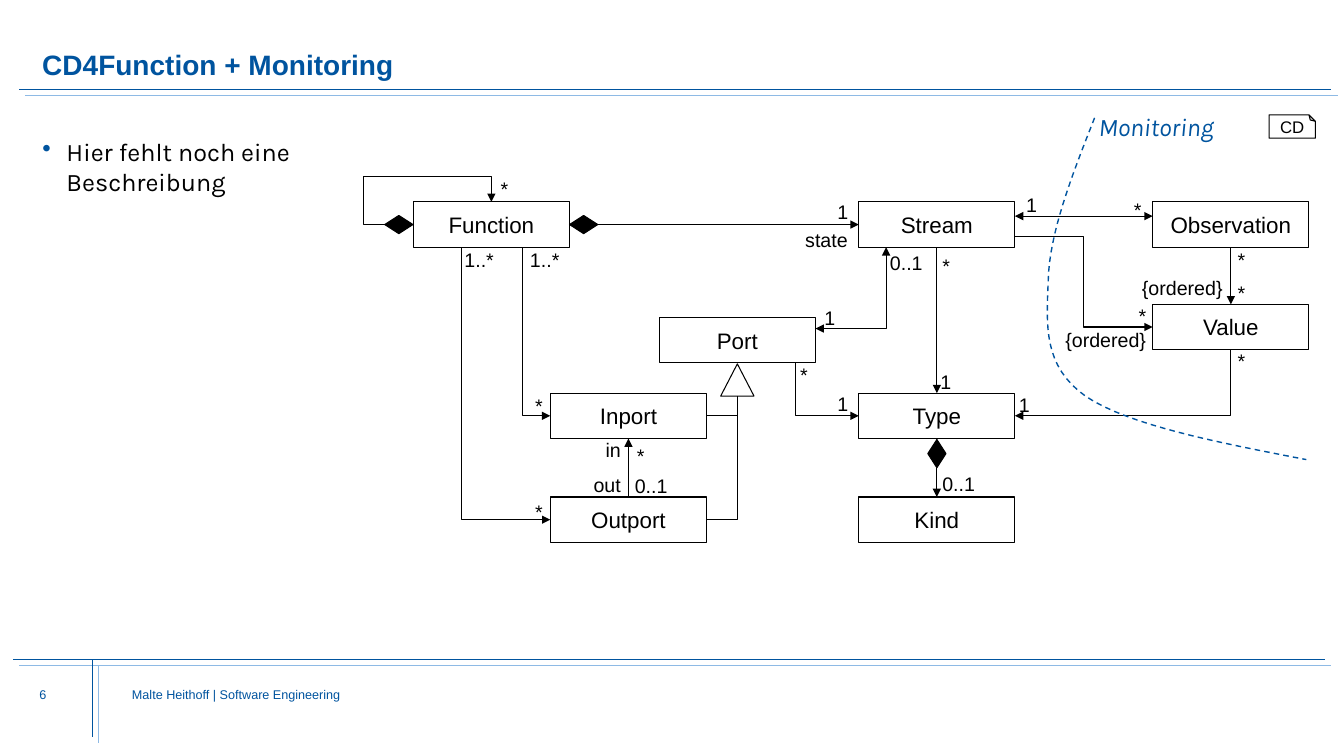
from lxml import etree
from pptx import Presentation
from pptx import util as u
from pptx.dml.color import RGBColor
from pptx.enum import dml, shapes, text
from pptx.oxml.ns import qn

BLUE, LIGHT, BLACK, WHITE = "00549F", "8EBAE5", "000000", "FFFFFF"
TOP, LEFT, BOTTOM, RIGHT = range(4)
TRIANGLE_BASE = 3
BOX_W, BOX_H = 111.6, 32.4
SHAPE = shapes.MSO_SHAPE
ALIGN, ANCHOR = text.PP_ALIGN, text.MSO_ANCHOR


def rgb(value):
    return RGBColor.from_string(value)


def write(tf, content, size=14, font="Arial", color=BLACK, bold=False, italic=False,
          align=ALIGN.LEFT, anchor=ANCHOR.TOP, inset=(7.2, 3.6), wrap=True,
          spacing=None, bullet=None):
    tf.word_wrap = wrap
    tf.vertical_anchor = anchor
    tf.margin_left = tf.margin_right = u.Pt(inset[0])
    tf.margin_top = tf.margin_bottom = u.Pt(inset[1])
    p = tf.paragraphs[0]
    p.text = content
    p.alignment = align
    if spacing:
        p.line_spacing = spacing
    if bullet:
        pPr = p._p.get_or_add_pPr()
        indent = u.Pt(17.3)
        pPr.set("marL", str(indent))
        pPr.set("indent", str(-indent))
        clr = etree.SubElement(pPr, qn("a:buClr"))
        etree.SubElement(clr, qn("a:srgbClr")).set("val", BLUE)
        etree.SubElement(pPr, qn("a:buChar")).set("char", bullet)
    for r in p.runs:
        f = r.font
        f.name, f.size, f.bold, f.italic = font, u.Pt(size), bold, italic
        f.color.rgb = rgb(color)


class Diagram:
    def __init__(self, slide, color=BLACK, weight=0.75):
        self.s, self.color, self.weight = slide, color, weight

    def stroke(self, line, color=None, weight=None, head=False, tail=False, dash=None):
        line.color.rgb = rgb(color or self.color)
        line.width = u.Pt(weight or self.weight)
        if dash:
            line.dash_style = dash
        ln = line._get_or_add_ln()
        for tag, wanted in (("a:headEnd", head), ("a:tailEnd", tail)):
            if wanted:
                etree.SubElement(ln, qn(tag)).set("type", "triangle")

    def label(self, content, x, y, w=None, h=24.5, **fmt):
        w = w or 14 + 7 * len(content)
        sp = self.s.shapes.add_textbox(u.Pt(x), u.Pt(y), u.Pt(w), u.Pt(h))
        write(sp.text_frame, content, **fmt)

    def shape(self, kind, x, y, w, h, fill=None):
        sp = self.s.shapes.add_shape(kind, u.Pt(x), u.Pt(y), u.Pt(w), u.Pt(h))
        sp.shadow.inherit = False
        if fill:
            sp.fill.solid()
            sp.fill.fore_color.rgb = rgb(fill)
        else:
            sp.fill.background()
        self.stroke(sp.line)
        return sp

    def box(self, name, x, y):
        sp = self.shape(SHAPE.RECTANGLE, x, y, BOX_W, BOX_H)
        write(sp.text_frame, name, size=16, align=ALIGN.CENTER,
              anchor=ANCHOR.MIDDLE, inset=(0, 0))
        return sp

    def link(self, start, end, bends=0, **style):
        """Each end is a point (x, y) or a pair (shape, side)."""
        kind = shapes.MSO_CONNECTOR.ELBOW if bends else shapes.MSO_CONNECTOR.STRAIGHT
        joined = [hasattr(e[0], "shape_id") for e in (start, end)]
        points = [(0, 0) if j else e for j, e in zip(joined, (start, end))]
        c = self.s.shapes.add_connector(kind, *(u.Pt(v) for pt in points for v in pt))
        if joined[0]:
            c.begin_connect(*start)
        if joined[1]:
            c.end_connect(*end)
        if bends == 1:
            c._element.spPr.find(qn("a:prstGeom")).set("prst", "bentConnector2")
        self.stroke(c.line, **style)
        etree.SubElement(c._element.spPr, qn("a:effectLst"))
        return c

    def route(self, points, **style):
        pts = [(u.Pt(x), u.Pt(y)) for x, y in points]
        fb = self.s.shapes.build_freeform(*pts[0])
        fb.add_line_segments(pts[1:], close=False)
        sp = fb.convert_to_shape()
        sp.shadow.inherit = False
        sp.fill.background()
        self.stroke(sp.line, **style)


def bezier(p0, p1, p2, p3, steps=16):
    for i in range(1, steps + 1):
        t = i / steps
        k = (1 - t) ** 3, 3 * t * (1 - t) ** 2, 3 * t * t * (1 - t), t ** 3
        yield tuple(sum(a * b for a, b in zip(k, axis)) for axis in zip(p0, p1, p2, p3))


prs = Presentation()
prs.slide_width, prs.slide_height = u.Pt(960), u.Pt(540)
d = Diagram(prs.slides.add_slide(prs.slide_layouts[6]))

# Header and footer rules
for x1, y1, x2, y2 in ((13.7, 64.1, 951.1, 64.1), (9.4, 470.9, 946.1, 470.9),
                       (66.2, 470.9, 66.2, 526.3)):
    for shift, color in ((0, BLUE), (4.3, LIGHT)):
        d.link((x1 + shift, y1 + shift), (x2 + shift, y2 + shift), color=color, weight=0.5)

# Title, bullet and footer
d.label("CD4Function + Monitoring", 30.2, 15.8, 904.3, 42.5, size=20, color=BLUE,
        bold=True, anchor=ANCHOR.BOTTOM, inset=(0, 0), spacing=0.9)
d.label("Hier fehlt noch eine Beschreibung", 30.2, 97.2, 224.6, 345.6, size=18,
        font="Karla", inset=(0, 0), bullet="•")
d.label("6", 28.1, 490.3, 57.6, 31, size=9, color=BLUE, inset=(0, 0))
d.label("Malte Heithoff | Software Engineering", 94.3, 490.3, 551.5, 49.7,
        size=9, color=BLUE, inset=(0, 0))

# Classes
function = d.box("Function", 295.2, 144.2)
stream = d.box("Stream", 613.4, 144.2)
observation = d.box("Observation", 823.4, 144.2)
value = d.box("Value", 823.4, 217.4)
d.box("Port", 470.9, 226.8)
inport = d.box("Inport", 393.1, 280.8)
type_ = d.box("Type", 613.4, 280.8)
outport = d.box("Outport", 393.1, 355)
kind = d.box("Kind", 613.4, 355)

# Composition diamonds and inheritance triangle
d.shape(SHAPE.DIAMOND, 274.8, 153.9, 20.2, 13, BLACK)
state_end = d.shape(SHAPE.DIAMOND, 406.8, 153.9, 20.2, 13, BLACK)
kind_end = d.shape(SHAPE.DIAMOND, 662.7, 313.9, 13, 20.2, BLACK)
parent = d.shape(SHAPE.ISOSCELES_TRIANGLE, 514.8, 259.9, 23.8, 23, WHITE)

# Straight associations
for start, end in (((state_end, RIGHT), (stream, LEFT)), ((stream, BOTTOM), (type_, TOP)),
                   ((kind_end, BOTTOM), (kind, TOP)), ((outport, TOP), (inport, BOTTOM)),
                   ((observation, BOTTOM), (value, TOP))):
    d.link(start, end, tail=True)
d.link((823.4, 154.4), (725, 154.4), head=True, tail=True)

# Bent associations
for port in (inport, outport):
    c = d.link((port, RIGHT), (parent, TRIANGLE_BASE), bends=1)
    c.end_x, c.end_y = u.Pt(526.7), u.Pt(282.9)
d.link((type_, RIGHT), (value, BOTTOM), bends=1, head=True)
d.link((725, 168.8), (value, LEFT), bends=2, tail=True)
d.route([(274.8, 160.6), (260, 160.6), (260, 126), (351, 126), (351, 144.2)], tail=True)
for x, y1, x2, y2 in ((373.2, 176.6, 393.1, 297), (329.3, 176.6, 393.1, 371.2),
                      (568.2, 259.2, 613.4, 297)):
    d.route([(x, y1), (x, y2), (x2, y2)], tail=True)
d.route([(582.5, 234.7), (633, 234.7), (633, 176.6)], head=True, tail=True)

# Multiplicities and roles
for content, spots in {
    "*": ((350.6, 123.1), (375.1, 277.9), (375.1, 353.5), (447.8, 313.2), (564.5, 255.6),
          (666, 177.8), (877, 245.5), (877, 173.5), (877, 197.3), (802.8, 137.5)),
    "1": ((591.1, 139), (581.8, 215.3), (591.1, 276.5), (664.6, 260.6),
          (720.7, 277.2), (725.8, 134.6)),
    "0..1": ((446.4, 334.8), (628.6, 175.7), (666, 333.4)),
    "1..*": ((371.5, 173.5), (324.7, 173.5)),
    "state": ((568.1, 159.1),),
    "out": ((416.9, 334.1),),
    "in": ((425.5, 309.6),),
}.items():
    for x, y in spots:
        d.label(content, x, y)
d.label("*\n{ordered}", 727.9, 213.8, 97.9, 41, align=ALIGN.RIGHT)
d.label("{ordered}", 804.2, 193.7, 76.3, align=ALIGN.RIGHT)

# Monitoring boundary
d.label("Monitoring", 777.6, 76.3, 107.3, 28.8, size=18, font="Karla", color=BLUE, italic=True)
start, bend, end = (781.9, 84.2), (748.8, 200.2), (775.4, 283)
boundary = [start,
            *bezier(start, (765.4, 126), (749.5, 167), bend),
            *bezier(bend, (747.4, 233.3), (745.2, 261.4), end),
            *bezier(end, (806.4, 303.8), (869.8, 316.1), (933.1, 328.3))]
d.route(boundary, color=BLUE, weight=1, dash=dml.MSO_LINE.DASH)

# Diagram type tag, folded at the top right
tag = d.shape(SHAPE.FOLDED_CORNER, 906.5, 82.1, 33.1, 16.6, WHITE)
geom = tag._element.spPr.find(qn("a:prstGeom"))
fold = etree.SubElement(geom.find(qn("a:avLst")), qn("a:gd"))
fold.set("name", "adj")
fold.set("fmla", "val 27600")
tag._element.spPr.find(qn("a:xfrm")).set("flipV", "1")
write(tag.text_frame, "CD", size=12, align=ALIGN.CENTER, anchor=ANCHOR.MIDDLE,
      wrap=False, spacing=0.7)
tag.text_frame._txBody.find(qn("a:bodyPr")).set("rot", "10800000")

prs.save("out.pptx")
